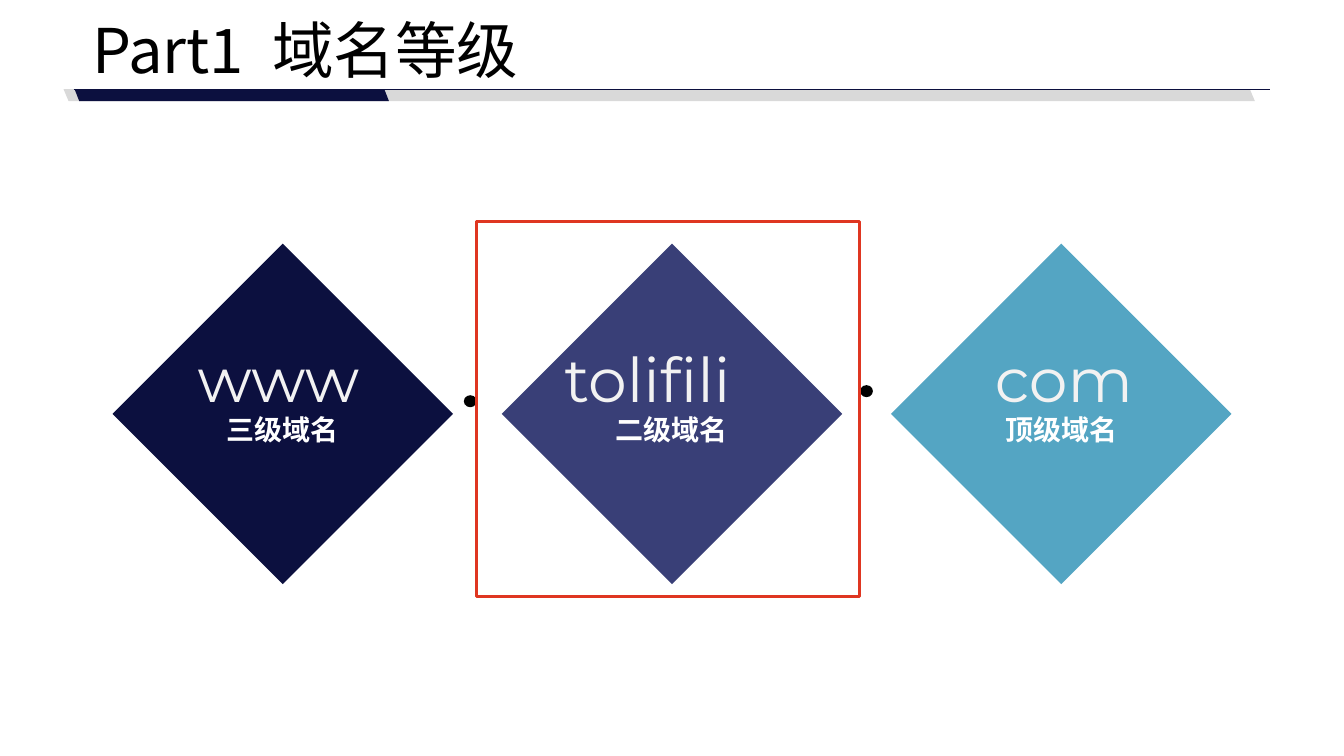
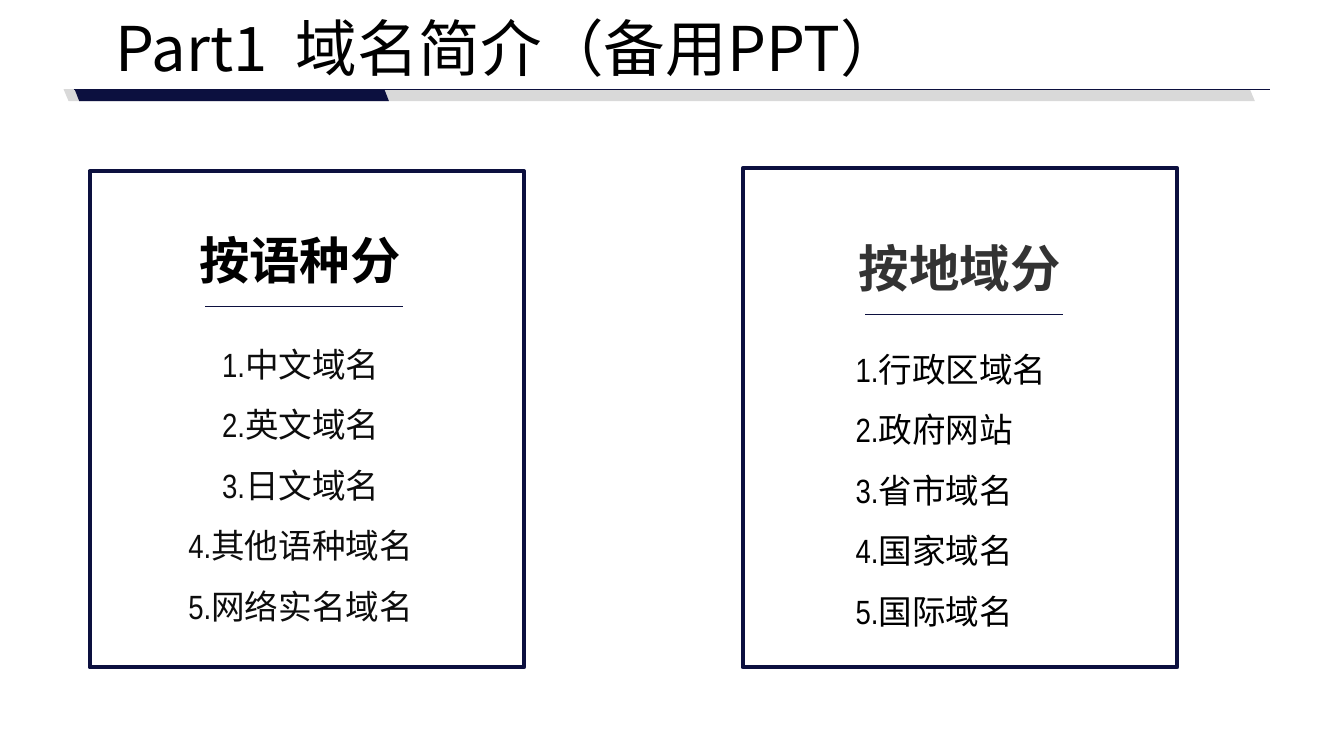
from lxml import etree
from pptx import Presentation
from pptx.dml.color import RGBColor
from pptx.enum.shapes import MSO_CONNECTOR, MSO_SHAPE
from pptx.enum.text import MSO_ANCHOR, PP_ALIGN
from pptx.oxml.ns import qn
from pptx.util import Pt

RECT = MSO_SHAPE.RECTANGLE
OVAL = MSO_SHAPE.OVAL
SLANT = MSO_SHAPE.PARALLELOGRAM
LINE = MSO_CONNECTOR.STRAIGHT
LEFT, MID = PP_ALIGN.LEFT, PP_ALIGN.CENTER
TOP, BASE = MSO_ANCHOR.TOP, MSO_ANCHOR.BOTTOM

HEX = {
    "navy": "0C103F",
    "plum": "393F77",
    "sky": "54A5C3",
    "red": "DF3621",
    "gray": "D9D9D9",
    "pale": "F2F2F2",
    "white": "FFFFFF",
    "black": "000000",
    "ink": "0D0D0D",
    "coal": "333333",
}
SANS, SLIM, WORD = "Noto Sans CJK SC", "Arial Narrow", "Montserrat"


def tint(name):
    return RGBColor.from_string(HEX[name])


def shape(slide, kind, box, fill=None, line=None, width=1):
    item = slide.shapes.add_shape(kind, *map(Pt, box))
    item.shadow.inherit = False
    if fill:
        item.fill.solid()
        item.fill.fore_color.rgb = tint(fill)
    else:
        item.fill.background()
    if line:
        item.line.color.rgb = tint(line)
        item.line.width = Pt(width)
    else:
        item.line.fill.background()
    return item


def rule(slide, x, y, wide, width):
    item = slide.shapes.add_connector(LINE, Pt(x), Pt(y), Pt(x + wide), Pt(y))
    item.line.color.rgb = tint("navy")
    item.line.width = Pt(width)
    etree.SubElement(item._element.spPr, qn("a:effectLst"))


def text(slide, box, rows, size, font=SANS, color="black", bold=False,
         align=MID, space=1.0, anchor=TOP, foot=3.6):
    frame = slide.shapes.add_textbox(*map(Pt, box)).text_frame
    frame.word_wrap = True
    frame.vertical_anchor = anchor
    frame.margin_bottom = Pt(foot)
    for n, row in enumerate(rows):
        para = frame.add_paragraph() if n else frame.paragraphs[0]
        para.alignment = align
        para.line_spacing = space
        for part in [row] if isinstance(row, str) else row:
            run = para.add_run()
            run.text = part
            run.font.size = Pt(size)
            run.font.bold = bold
            run.font.name = font
            run.font.color.rgb = tint(color)
            props = run.font._element
            etree.SubElement(props, qn("a:ea")).set("typeface", font)
            if part == " ":
                props.set("spc", "1000")


def bar(slide, box, fill, lean):
    item = shape(slide, SLANT, box, fill)
    item.adjustments[0] = lean
    item._element.spPr.get_or_add_xfrm().set("flipH", "1")


def header(slide, title, box):
    text(slide, box, [("Part1", " ", title)], 44, space=0.9,
         anchor=BASE, foot=2)
    bar(slide, (45.4, 63.7, 851, 8.6), "gray", 0.42)
    bar(slide, (53.3, 63.7, 224.6, 8.6), "navy", 0.39)
    rule(slide, 52.6, 63.7, 854.6, 0.25)


def gem(slide, x, y, side, fill, word, label, inset):
    item = shape(slide, RECT, (x - side / 2, y - side / 2, side, side), fill)
    item.rotation = 45
    text(slide, (x - 116, y - 4.7, 232, 36), [label], 20,
         color="white", bold=True)
    text(slide, (x - inset, y - 56, 184, 60), [word], 44, font=WORD,
         color="pale", align=LEFT)


def levels(slide, x, y, step):
    gems = [
        ("navy", "www", "三级域名", 68),
        ("plum", "tolifili", "二级域名", 84),
        ("sky", "com", "顶级域名", 54.5),
    ]
    for n, (fill, word, label, inset) in enumerate(gems):
        gem(slide, x + n * step, y, 172, fill, word, label, inset)
    for dx, dy in ((129.3, -13.3), (412.3, -20.5)):
        shape(slide, OVAL, (x + dx, y + dy, 9.2, 8.6), "black")
    shape(slide, RECT, (x + 138.6, y - 137.2, 273.6, 267.8),
          line="red", width=2.25)


def panel(slide, box, head, rows, spot, shift=(0, 0), hue="black",
          ink="black", align=MID):
    x, y = box[:2]
    dx, dy = shift
    shape(slide, RECT, box, line="navy", width=3)
    text(slide, (x + 54.7 + dx, y + 38 + dy, 191, 51), [head], 36,
         font=SLIM, color=hue, bold=True)
    rule(slide, x + 82.7 + dx, y + 96.2 + dy, 141, 0.5)
    left, top, wide = spot
    lines = [f"{n}.{row}" for n, row in enumerate(rows, 1)]
    text(slide, (x + left, y + top, wide, 220), lines, 24, font=SLIM,
         color=ink, align=align, space=1.5)


def main():
    deck = Presentation()
    deck.slide_width, deck.slide_height = Pt(960), Pt(540)
    blank = deck.slide_layouts[6]

    slide = deck.slides.add_slide(blank)
    header(slide, "域名等级", (12.2, 26, 412, 38))
    levels(slide, 202, 295.6, 278)

    slide = deck.slides.add_slide(blank)
    header(slide, "域名简介（备用PPT）", (32.4, 28, 662.4, 34.6))
    panel(slide, (64, 122.4, 310.3, 354.2), "按语种分",
          ["中文域名", "英文域名", "日文域名", "其他语种域名", "网络实名域名"],
          (36.8, 105, 228), ink="ink")
    panel(slide, (530.6, 120.2, 310.3, 356.4), "按地域分",
          ["行政区域名", "政府网站", "省市域名", "国家域名", "国际域名"],
          (73.5, 111, 169), shift=(4.7, 7.8), hue="coal", align=LEFT)

    deck.save("out.pptx")


if __name__ == "__main__":
    main()
